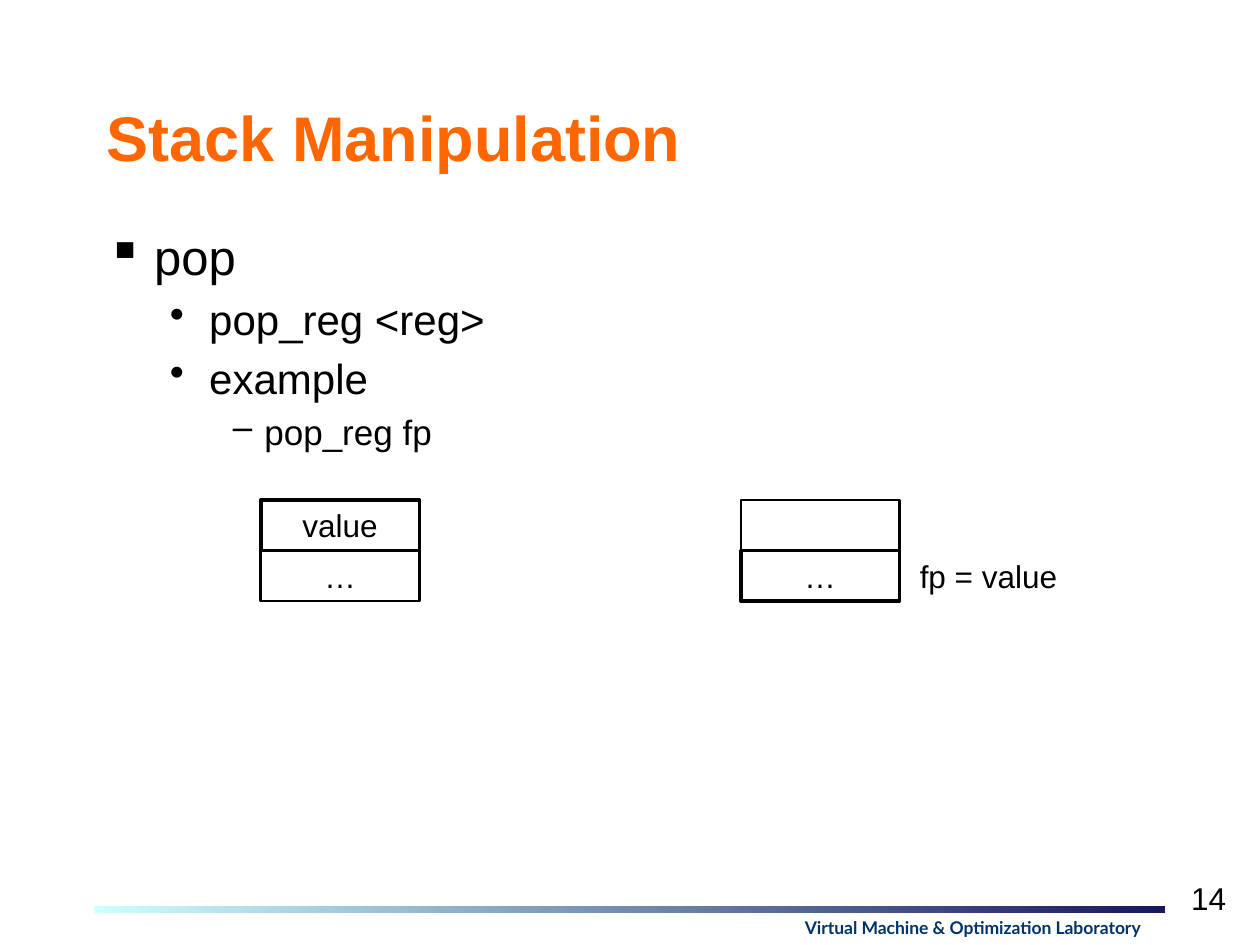
from pptx import Presentation
from pptx.dml.color import RGBColor
from pptx.enum.shapes import MSO_SHAPE
from pptx.enum.text import MSO_ANCHOR, PP_ALIGN
from pptx.oxml.xmlchemy import OxmlElement
from pptx.util import Pt

RECTANGLE = MSO_SHAPE.RECTANGLE
TOP, MIDDLE = MSO_ANCHOR.TOP, MSO_ANCHOR.MIDDLE
LEFT, CENTER, RIGHT = PP_ALIGN.LEFT, PP_ALIGN.CENTER, PP_ALIGN.RIGHT

COLORS = {
    "black": "000000",
    "white": "FFFFFF",
    "orange": "FF6600",
    "navy": "003366",
    "bar_start": "CCFFFF",
    "bar_end": "17175E",
}

# Per outline level: bullet, font size, left margin, hanging indent
BULLET_LEVELS = [("▪", 28, 27, 27), ("•", 24, 58.5, 22.5), ("–", 20, 90, 18)]
OUTLINE = [(0, "pop"), (1, "pop_reg <reg>"), (1, "example"), (2, "pop_reg fp")]

CELL_WIDTH, CELL_HEIGHT = 90.72, 28.8
STACK_TOP = 285.84
BEFORE_LEFT, AFTER_LEFT = 149.04, 423.36


def color(name):
    return RGBColor.from_string(COLORS[name])


class SlideBuilder:
    """Holds the text style and the slide being filled."""

    def __init__(self, slide, font="Arial"):
        self.slide = slide
        self.font = font

    def add_run(self, paragraph, text, size, color_name="black", align=LEFT, **font_format):
        paragraph.alignment = align
        run = paragraph.add_run()
        run.text = text
        run.font.color.rgb = color(color_name)
        values = {"name": self.font, "size": Pt(size), **font_format}
        for attribute, value in values.items():
            setattr(run.font, attribute, value)

    def text_frame(self, left, top, width, height, anchor=TOP, wrap=True):
        box = self.slide.shapes.add_textbox(Pt(left), Pt(top), Pt(width), Pt(height))
        frame = box.text_frame
        frame.word_wrap = wrap
        frame.vertical_anchor = anchor
        return frame

    def text(self, bounds, text, size, anchor=TOP, wrap=True, **text_format):
        frame = self.text_frame(*bounds, anchor=anchor, wrap=wrap)
        self.add_run(frame.paragraphs[0], text, size, **text_format)

    def outline(self, bounds, items):
        frame = self.text_frame(*bounds)
        for index, (level, text) in enumerate(items):
            bullet, size, margin, hanging = BULLET_LEVELS[level]
            paragraph = frame.add_paragraph() if index else frame.paragraphs[0]
            paragraph.level = level
            paragraph.space_before = Pt(size * 0.2)
            self.add_run(paragraph, text, size)
            properties = paragraph._p.get_or_add_pPr()
            properties.set("marL", str(Pt(margin)))
            properties.set("indent", str(-Pt(hanging)))
            character = OxmlElement("a:buChar")
            character.set("char", bullet)
            properties.append(character)

    def rectangle(self, left, top, width, height):
        shape = self.slide.shapes.add_shape(
            RECTANGLE, Pt(left), Pt(top), Pt(width), Pt(height))
        shape.shadow.inherit = False
        shape.line.fill.background()
        return shape

    def gradient_bar(self, bounds, start, end):
        fill = self.rectangle(*bounds).fill
        fill.gradient()
        fill.gradient_angle = 0
        for stop, name in zip(fill.gradient_stops, (start, end)):
            stop.color.rgb = color(name)

    def cell(self, left, row, text="", border=None, width=CELL_WIDTH):
        shape = self.rectangle(left, STACK_TOP + row * CELL_HEIGHT, width, CELL_HEIGHT)
        shape.fill.solid()
        shape.fill.fore_color.rgb = color("white")
        if border:
            shape.line.color.rgb = color("black")
            shape.line.width = Pt(border)
        if text:
            shape.text_frame.vertical_anchor = TOP
            self.add_run(shape.text_frame.paragraphs[0], text, 18, align=CENTER)


def main():
    presentation = Presentation()
    presentation.slide_width, presentation.slide_height = Pt(720), Pt(540)
    builder = SlideBuilder(presentation.slides.add_slide(presentation.slide_layouts[6]))

    builder.text((671.76, 498.96, 36, 28.8), "14", 18,
                 anchor=MIDDLE, wrap=False, align=RIGHT)
    builder.gradient_bar((54, 517.68, 612, 4.32), "bar_start", "bar_end")
    builder.text((408.24, 520.56, 295.2, 19.44),
                 "Virtual Machine & Optimization Laboratory", 10,
                 align=CENTER, color_name="navy", name="Lato", bold=True)

    builder.text((54, 48.24, 612, 59.76), "Stack Manipulation", 36,
                 anchor=MIDDLE, color_name="orange", bold=True)
    builder.outline((54, 126, 612, 383.76), OUTLINE)

    builder.cell(AFTER_LEFT + CELL_WIDTH, 1, "fp = value", width=101.52)
    builder.cell(BEFORE_LEFT, 1, "…", border=1.5)
    builder.cell(BEFORE_LEFT, 0, "value", border=2)
    builder.cell(AFTER_LEFT, 0, border=1.5)
    builder.cell(AFTER_LEFT, 1, "…", border=2)

    presentation.save("out.pptx")


if __name__ == "__main__":
    main()
